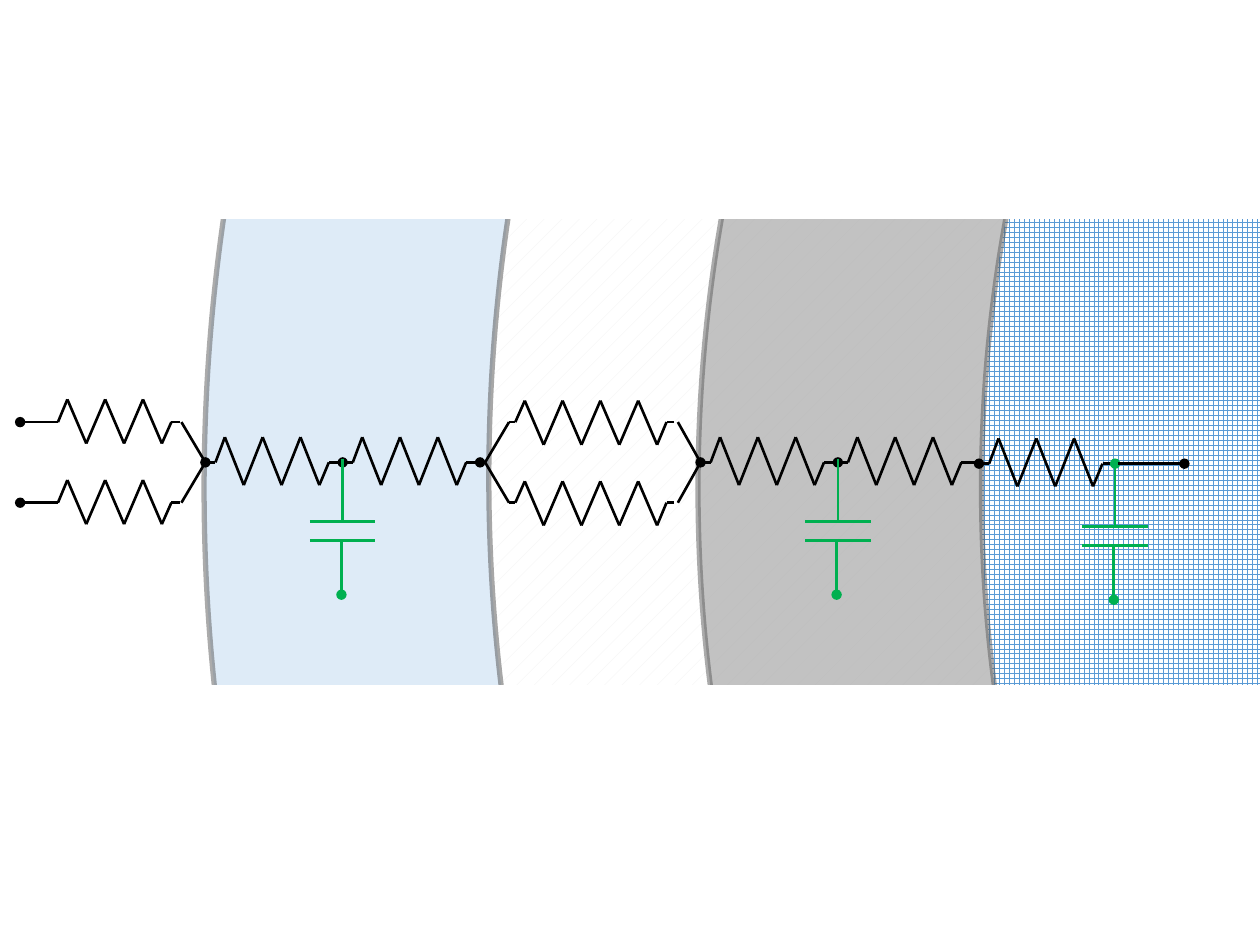
import pptx
import pptx.util
import pptx.dml.color
import pptx.enum.dml
import pptx.enum.shapes
import pptx.oxml
import pptx.oxml.ns

Inch = pptx.util.Inches
Pat = pptx.enum.dml.MSO_PATTERN
Kind = pptx.enum.shapes.MSO_SHAPE

THEME = {
    "wire": "000000", "cap": "00B050", "edge": "595959", "mask": "FFFFFF",
    "shell": "DEEBF7", "gap": "F2F2F2", "wall": "A6A6A6", "grid": "5B9BD5",
    "wire_pt": 1.5, "edge_pt": 3, "mask_pt": 1,
}

# Round layers: left, top, diameter, colour, pattern, fill and edge opacity in %
LAYERS = [
    (1.62, -11.12, 30, "shell", None, 100, 49),
    (3.88, -10.21, 28, "gap", Pat.PERCENT_5, 100, 52),
    (5.54, -8.62, 25, "wall", None, 68, 49),
    (7.79, -8.12, 24, "grid", Pat.LARGE_GRID, 100, 50),
]
# White bands above and below the strip: left, top, width, height
BANDS = [(-0.28, -0.04, 15.62, 1.77), (-0.25, 5.44, 15.62, 2.06)]

# Resistor styles: teeth, lead, tail, height above and below the wire
BIG = (3, 0.08, 0.11, 0.2, 0.18)
SMALL = (3, 0.08, 0.07, 0.18, 0.17)
LONG = (4, 0.05, 0.06, 0.17, 0.18)
STEP = 0.15

MID, TOP, LOW = 3.67, 3.35, 3.99
END = MID + 0.01

# Resistors: left, wire height, style, start dot, end dot
COILS = [
    (6.65, MID, BIG, True, False), (5.56, MID, BIG, True, False),
    (2.72, MID, BIG, True, True), (1.63, MID, BIG, True, False),
    (7.77, END, BIG, True, False),
    (0.38, TOP, SMALL, False, False), (0.38, LOW, SMALL, False, False),
    (4.04, TOP, LONG, False, False), (4.04, LOW, LONG, False, False),
]
# Capacitors: centre, top, start dot
CAPS = [(2.72, 3.64, False), (6.65, 3.64, False), (8.85, 3.68, True)]
# Forks join two branches: branch end, node
FORKS = [(1.44, 1.63), (4.04, 3.85), (5.38, 5.56)]
# Outer terminals: dot, wire height, wire end
ENDS = [(0.16, TOP, 0.4), (0.16, LOW, 0.4), (9.4, END, 8.87)]

deck = pptx.Presentation()
deck.slide_width, deck.slide_height = Inch(10), Inch(7.5)
slide = deck.slides.add_slide(deck.slide_layouts[6])
qn = pptx.oxml.ns.qn


def rgb(name):
    return pptx.dml.color.RGBColor.from_string(THEME[name])


def add(node, tag, **attrs):
    child = node.makeelement(qn(tag), attrs)
    node.append(child)
    return child


def fade(node, share):
    """Set the opacity of a solid fill inside a fill or line node."""
    if share < 100:
        tint = node.find(".//" + qn("a:srgbClr"))
        add(tint, "a:alpha", val=str(share * 1000))


def shape(kind, box, edge, width):
    item = slide.shapes.add_shape(kind, *map(Inch, box))
    item.shadow.inherit = False
    item.line.color.rgb = rgb(edge)
    item.line.width = pptx.util.Pt(width)
    return item


def wire(x1, y1, x2, y2, tint="wire", head=False, tail=False):
    item = slide.shapes.add_connector(
        pptx.enum.shapes.MSO_CONNECTOR.STRAIGHT,
        *map(Inch, (x1, y1, x2, y2)))
    item.line.color.rgb = rgb(tint)
    item.line.width = pptx.util.Pt(THEME["wire_pt"])
    line = item.line._get_or_add_ln()
    for dot, tag in ((head, "a:headEnd"), (tail, "a:tailEnd")):
        if dot:
            add(line, tag, type="oval")
    add(item._element.spPr, "a:effectLst")


def coil(x, y, style, head, tail):
    teeth, lead, end, up, down = style
    spots = [(x, y), (x + lead, y)]
    first = x + lead + STEP / 2
    for k in range(2 * teeth):
        spots.append((first + k * STEP, y + (down if k % 2 else -up)))
    last = spots[-1][0] + STEP / 2
    spots += [(last, y), (last + end, y)]
    final = len(spots) - 2
    for k, (a, b) in enumerate(zip(spots, spots[1:])):
        wire(*a, *b, head=head and k == 0, tail=tail and k == final)


def cap(x, y, head):
    upper, lower, foot, half = y + 0.5, y + 0.65, y + 1.08, 0.26
    wire(x, y, x, upper, "cap", head=head)
    for plate in (upper, lower):
        wire(x - half, plate, x + half, plate, "cap")
    wire(x - 0.01, lower, x - 0.01, foot, "cap", tail=True)


# Layers
for x, y, size, tint, pattern, solid, edge in LAYERS:
    disc = shape(Kind.OVAL, (x, y, size, size), "edge", THEME["edge_pt"])
    if pattern:
        disc.fill.patterned()
        disc.fill.pattern = pattern
        disc.fill.fore_color.rgb = rgb(tint)
        disc.fill.back_color.rgb = rgb("mask")
    else:
        disc.fill.solid()
        disc.fill.fore_color.rgb = rgb(tint)
        fade(disc._element.spPr.find(qn("a:solidFill")), solid)
    fade(disc.line._get_or_add_ln(), edge)

# Circuit
for row in COILS:
    coil(*row)
for row in CAPS:
    cap(*row)
for x, node in FORKS:
    for y in (TOP, LOW):
        wire(x, y, node, MID)
for x, y, stop in ENDS:
    wire(x, y, stop, y, head=True)

# Bands that trim the layers
for box in BANDS:
    band = shape(Kind.RECTANGLE, box, "mask", THEME["mask_pt"])
    band.fill.solid()
    band.fill.fore_color.rgb = rgb("mask")

deck.save("out.pptx")
